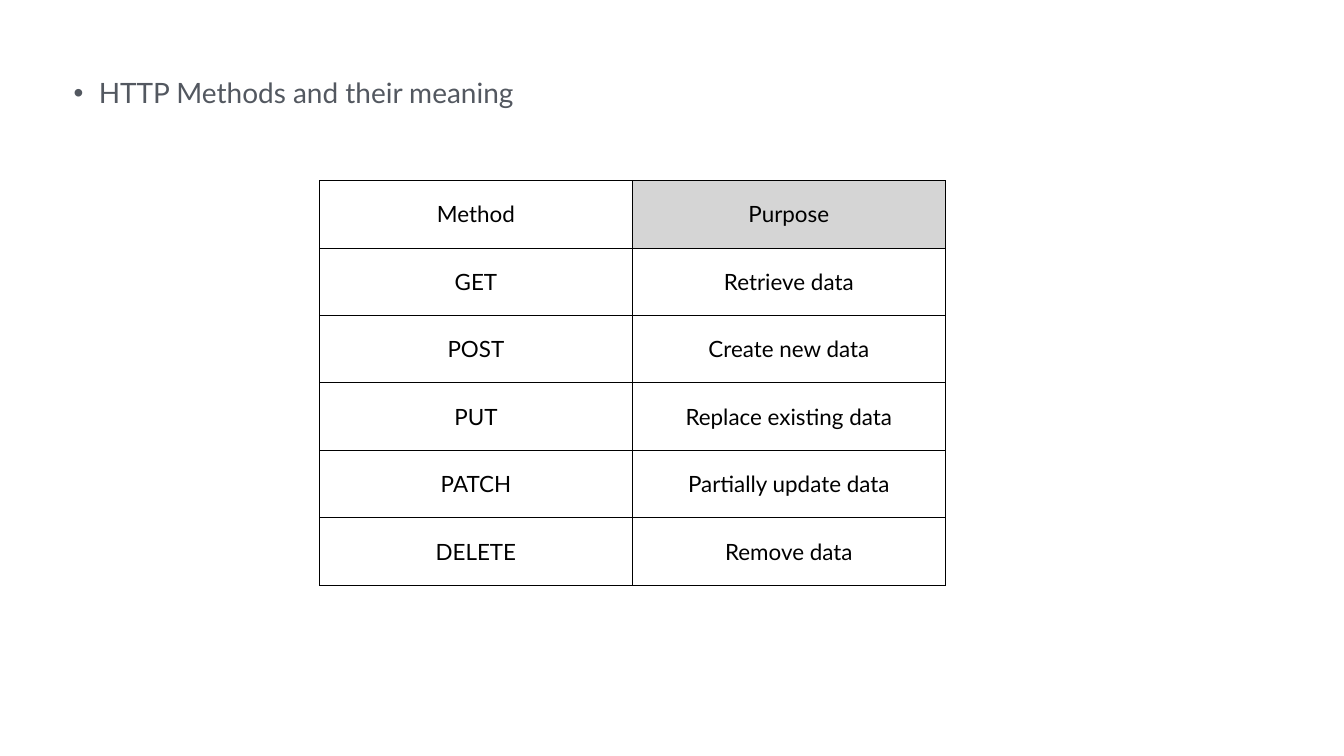
from dataclasses import dataclass

from lxml import etree
from pptx import Presentation
from pptx.dml.color import RGBColor
from pptx.enum.text import MSO_ANCHOR, PP_ALIGN
from pptx.oxml.ns import qn
from pptx.util import Cm, Pt

CENTER = PP_ALIGN.CENTER
TOP, MIDDLE = MSO_ANCHOR.TOP, MSO_ANCHOR.MIDDLE
TITLE_AND_CONTENT = 1


@dataclass(frozen=True)
class Theme:
    font: str = "Lato"
    heading: str = "535860"
    ink: str = "000000"
    paper: str = "FFFFFF"
    header: str = "D5D5D5"
    heading_size: int = 40
    cell_size: int = 32
    border_width: int = 1
    inset: float = 0.15


THEME = Theme()
METHODS = [
    ("Method", "Purpose"),
    ("GET", "Retrieve data"),
    ("POST", "Create new data"),
    ("PUT", "Replace existing data"),
    ("PATCH", "Partially update data"),
    ("DELETE", "Remove data"),
]


def format_text(para, size, color):
    para.space_before = Pt(0)
    for span in para.runs:
        span.font.name = THEME.font
        span.font.size = Pt(size)
        span.font.bold = False
        span.font.color.rgb = RGBColor.from_string(color)


def set_insets(holder):
    holder.margin_left = holder.margin_right = Cm(THEME.inset)
    holder.margin_top = holder.margin_bottom = Cm(THEME.inset)


def add_bullet(para, indent):
    properties = para._p.get_or_add_pPr()
    properties.set("marL", str(Cm(indent)))
    properties.set("indent", str(-Cm(indent)))
    etree.SubElement(properties, qn("a:buChar"), char="•")


def add_borders(cell):
    properties = cell._tc.get_or_add_tcPr()
    for side in ("lnL", "lnR", "lnT", "lnB"):
        line = etree.SubElement(properties, qn(f"a:{side}"), w=str(Pt(THEME.border_width)))
        fill = etree.SubElement(line, qn("a:solidFill"))
        etree.SubElement(fill, qn("a:srgbClr"), val=THEME.ink)


def fill_body(body, text, left, top, width, height):
    body.left, body.top = Cm(left), Cm(top)
    body.width, body.height = Cm(width), Cm(height)
    frame = body.text_frame
    frame.text = text
    frame.word_wrap = True
    frame.vertical_anchor = TOP
    set_insets(frame)
    para = frame.paragraphs[0]
    add_bullet(para, 1.27)
    format_text(para, THEME.heading_size, THEME.heading)


def add_method_table(page, rows, left, top, width, height):
    frame = page.shapes.add_table(
        len(rows), len(rows[0]), Cm(left), Cm(top), Cm(width), Cm(height)
    )
    table = frame.table
    table.first_row = table.horz_banding = False
    for row_index, row in enumerate(rows):
        for column_index, text in enumerate(row):
            cell = table.cell(row_index, column_index)
            cell.text = text
            cell.vertical_anchor = MIDDLE
            set_insets(cell)
            add_borders(cell)
            shaded = row_index == 0 and column_index > 0
            cell.fill.solid()
            cell.fill.fore_color.rgb = RGBColor.from_string(
                THEME.header if shaded else THEME.paper
            )
            para = cell.text_frame.paragraphs[0]
            para.alignment = CENTER
            format_text(para, THEME.cell_size, THEME.ink)


def main():
    deck = Presentation()
    deck.slide_width, deck.slide_height = Cm(67.73), Cm(38.1)
    page = deck.slides.add_slide(deck.slide_layouts[TITLE_AND_CONTENT])
    title = page.shapes.title.element
    title.getparent().remove(title)
    fill_body(page.placeholders[1], "HTTP Methods and their meaning",
              3.56, 3.66, 60.66, 30.76)
    add_method_table(page, METHODS, 16.1, 9.09, 31.54, 20.4)
    deck.save("out.pptx")


if __name__ == "__main__":
    main()
